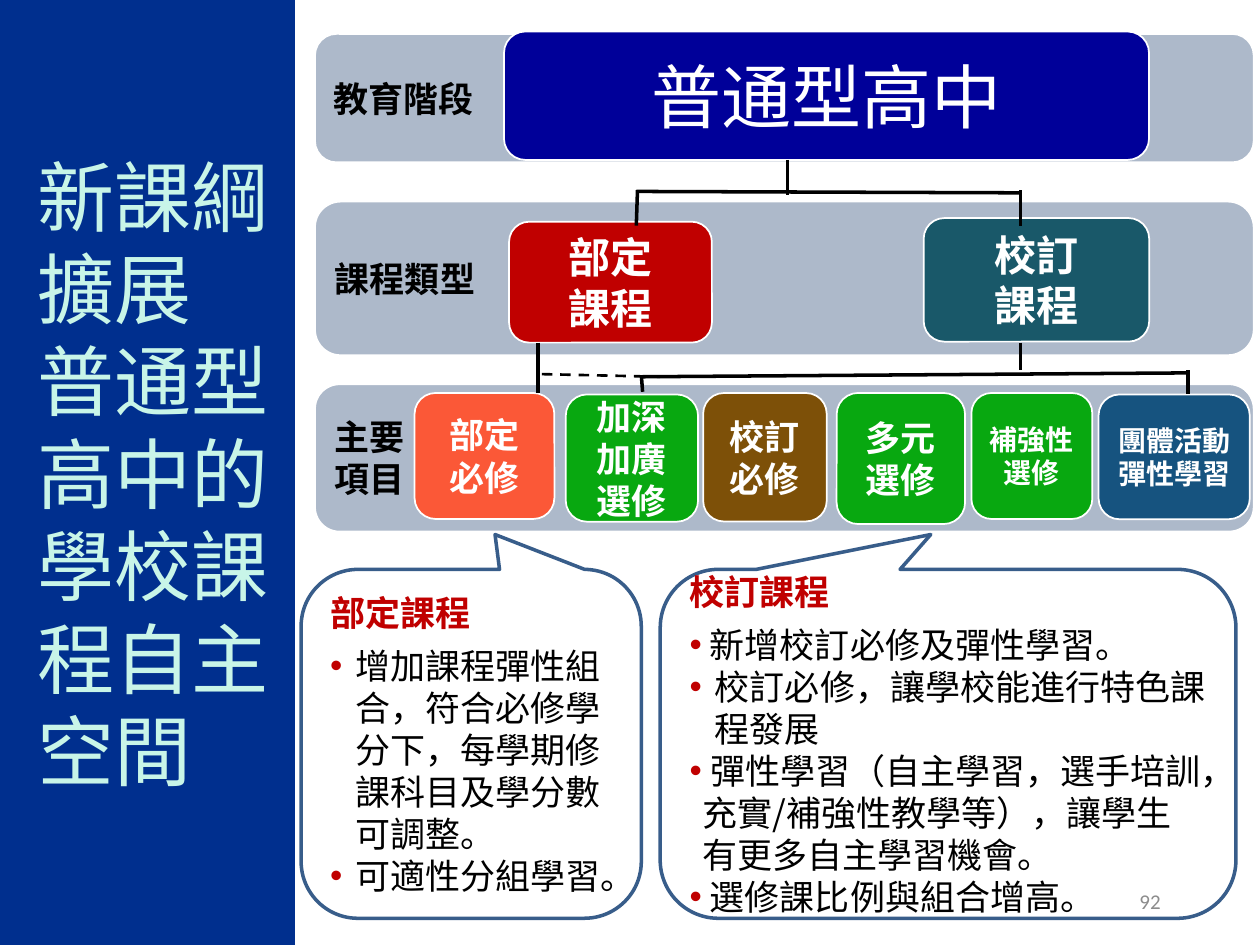
from lxml import etree
from pptx import Presentation
from pptx.dml.color import RGBColor
from pptx.enum.dml import MSO_LINE
from pptx.enum.shapes import MSO_CONNECTOR, MSO_SHAPE as SHAPE
from pptx.enum.text import MSO_ANCHOR, PP_ALIGN as ALIGN
from pptx.oxml.ns import qn
from pptx.util import Pt

CJK = "Noto Sans CJK SC"
RED, BLACK, WHITE, GREEN = "C00000", "000000", "FFFFFF", "08A810"


def rgb(value):
    return RGBColor.from_string(value)


def add_box(s, kind, box, fill, line=None, width=1):
    sp = s.shapes.add_shape(kind, *[Pt(v) for v in box])
    sp.shadow.inherit = False
    sp.fill.solid()
    sp.fill.fore_color.rgb = rgb(fill)
    if line:
        sp.line.color.rgb = rgb(line)
        sp.line.width = Pt(width)
    else:
        sp.line.fill.background()
    return sp


def set_frame(sp, inset=7.2):
    tf = sp.text_frame
    frame = {"word_wrap": True, "vertical_anchor": MSO_ANCHOR.MIDDLE,
             "margin_left": Pt(inset), "margin_right": Pt(inset)}
    for name, value in frame.items():
        setattr(tf, name, value)
    return tf


def add_par(tf, text, size, color, bold=False, align=ALIGN.LEFT, font=CJK,
            before=0, left=0, first=0, bullet=False):
    p = tf.paragraphs[0] if not tf.text else tf.add_paragraph()
    layout = {"alignment": align, "line_spacing": Pt(size * 1.2), "space_before": Pt(before)}
    for name, value in layout.items():
        setattr(p, name, value)
    pPr = p._p.get_or_add_pPr()
    pPr.set("marL", str(Pt(left)))
    pPr.set("indent", str(Pt(first)))
    if bullet:
        clr = etree.SubElement(pPr, qn("a:buClr"))
        etree.SubElement(clr, qn("a:srgbClr")).set("val", RED)
        etree.SubElement(pPr, qn("a:buFont")).set("typeface", "Arial")
        etree.SubElement(pPr, qn("a:buChar")).set("char", "•")
    p.text = text
    for r in p.runs:
        for name, value in {"name": font, "size": Pt(size), "bold": bold}.items():
            setattr(r.font, name, value)
        r.font.color.rgb = rgb(color)
        etree.SubElement(r._r.get_or_add_rPr(), qn("a:ea")).set("typeface", CJK)


def add_title(s, box):
    tf = set_frame(add_box(s, SHAPE.RECTANGLE, box, "002F8E"))
    add_par(tf, "新課綱擴展\v普通型高中的學校課程自主空間", 44, "C8F5E8", left=14.4)


def add_band(s, box, label, cards):
    """Grey band with a label; cards are placed from the band's top left corner."""
    tf = set_frame(add_box(s, SHAPE.ROUNDED_RECTANGLE, box, "ADB9CA", WHITE))
    for text in label:
        add_par(tf, text, 20, BLACK, True)
    for (x, y, w, h), fill, size, lines in cards:
        place = (box[0] + x, box[1] + y, w, h)
        sp = add_box(s, SHAPE.ROUNDED_RECTANGLE, place, fill, WHITE)
        tf = set_frame(sp, 4 if size == 16 else 7.2)
        for text in lines:
            add_par(tf, text, size, WHITE, size < 40, ALIGN.CENTER)


def add_callout(s, box, tip, heading, points):
    sp = add_box(s, SHAPE.ROUNDED_RECTANGULAR_CALLOUT, box, WHITE, "385D8A", 2)
    for i, value in enumerate((*tip, 0.167)):
        sp.adjustments[i] = value
    tf = set_frame(sp)
    add_par(tf, heading, 20, RED, True)
    for i, (text, hang) in enumerate(points):
        add_par(tf, text, 20, BLACK, before=0 if i else 6,
                left=hang, first=-hang, bullet=True)


def add_line(s, x1, y1, x2, y2, width=2, dash=None):
    c = s.shapes.add_connector(MSO_CONNECTOR.STRAIGHT, Pt(x1), Pt(y1), Pt(x2), Pt(y2))
    c.line.color.rgb = rgb(BLACK)
    c.line.width = Pt(width)
    if dash:
        c.line.dash_style = dash
    etree.SubElement(c._element.spPr, qn("a:effectLst"))


def add_tree_lines(s):
    for ends in [
        # Stage to course types
        (450, 91.4, 450, 111.6), (363.6, 109.4, 583.2, 110.2),
        (583.2, 108.7, 583.2, 128.9), (364.3, 108.7, 363.6, 128.9),
        # Course types to items
        (307.4, 195.8, 307.4, 224.6), (583.2, 195.8, 583.2, 211.7),
        (367.2, 215.3, 679, 213.1), (366.5, 214.6, 367.2, 223.9),
        (679, 211.7, 679, 225.4),
    ]:
        add_line(s, *ends)
    add_line(s, 309.6, 213.8, 377.3, 215.3, 1.5, MSO_LINE.DASH)


def add_page_number(s, box):
    tf = set_frame(s.shapes.add_textbox(*[Pt(v) for v in box]))
    add_par(tf, "92", 12, "8C8C8C", align=ALIGN.RIGHT, font="Calibri")


def main():
    prs = Presentation()
    prs.slide_width, prs.slide_height = Pt(720), Pt(540)
    s = prs.slides.add_slide(prs.slide_layouts[6])

    add_title(s, (0, 0, 168.5, 540))

    # Three levels: stage, course types, items
    add_band(s, (180, 19.4, 536.4, 73.4), ["教育階段"], [
        ((108, -1.4, 368.6, 73.4), "000099", 40, ["普通型高中"]),
    ])
    add_band(s, (180, 115.2, 536.4, 87.8), ["課程類型"], [
        ((110.9, 11.5, 115.9, 69.1), RED, 24, ["部定", "課程"]),
        ((347.8, 9.4, 128.9, 70.6), "195869", 24, ["校訂", "課程"]),
    ])
    add_band(s, (180, 219.6, 536.4, 84.2), ["主要", "項目"], [
        ((56.9, 5, 79.9, 72), "FB5837", 20, ["部定必修"]),
        ((143.3, 5.8, 75.6, 72.7), GREEN, 20, ["加深加廣選修"]),
        ((221.8, 5, 70.6, 73.4), "7D5008", 20, ["校訂", "必修"]),
        ((298.1, 5, 73.4, 74.9), GREEN, 20, ["多元", "選修"]),
        ((375.1, 5, 69.1, 72), GREEN, 16, ["補強性", "選修"]),
        ((447.8, 5.8, 86.4, 71.3), "16537F", 16, ["團體活動", "彈性學習"]),
    ])
    add_tree_lines(s)

    # Explanations
    add_callout(s, (172.1, 325.4, 194.4, 199.4), (0.07, -0.6), "部定課程", [
        ("增加課程彈性組合，符合必修學分下，每學期修課科目及學分數可調整。", 14.4),
        ("可適性分組學習。", 14.4),
    ])
    add_callout(s, (377.3, 325.4, 329, 199.4), (-0.03, -0.6), "校訂課程", [
        (" 新增校訂必修及彈性學習。", 0),
        ("校訂必修，讓學校能進行特色課程發展", 14.4),
        (" 彈性學習（自主學習，選手培訓，充實/補強性教學等），讓學生有更多自主學習機會。", 7.2),
        (" 選修課比例與組合增高。", 0),
    ])
    add_page_number(s, (508.3, 500.4, 162, 28.8))

    prs.save("out.pptx")


if __name__ == "__main__":
    main()
